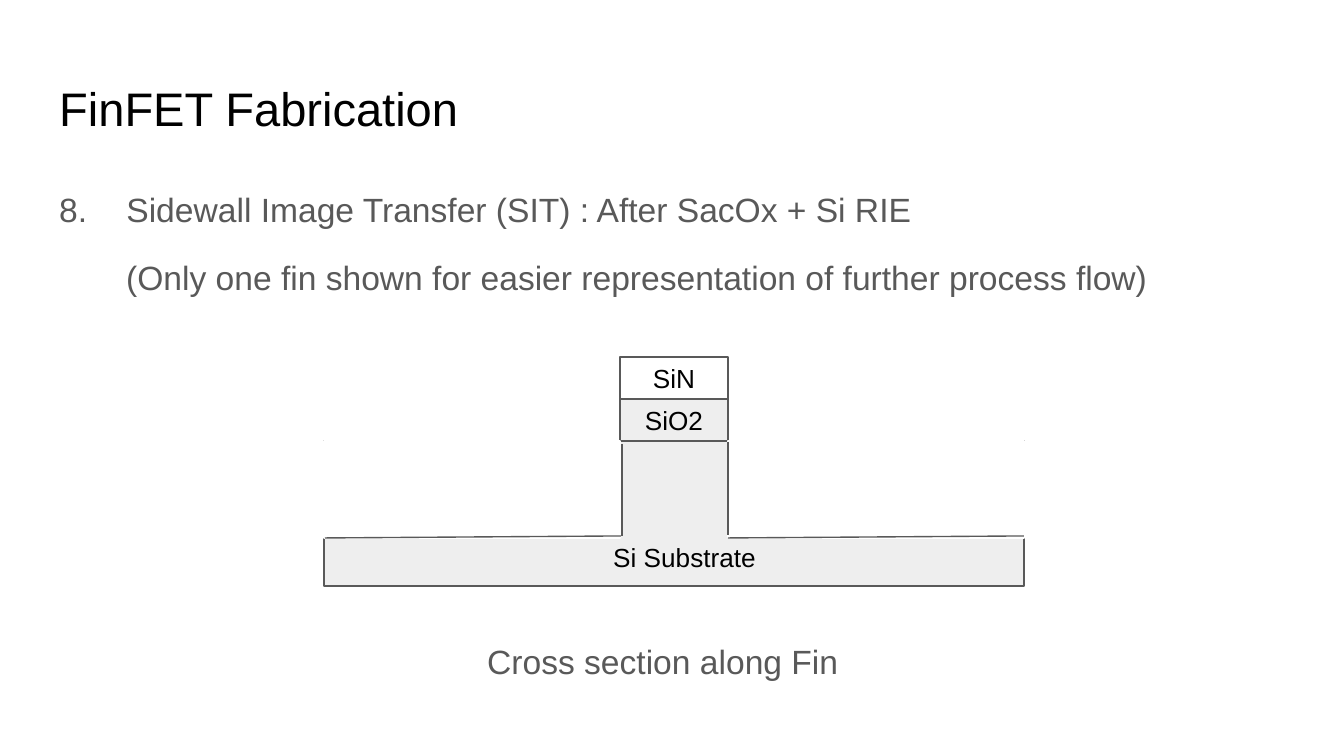
"""Build the FinFET fabrication slide with its fin cross section."""
import pptx
import pptx.dml.color
import pptx.enum.shapes
import pptx.enum.text
import pptx.oxml.ns
import pptx.util
from lxml import etree

PX = 914400 / 134.4
COLORS = {"black": "000000", "gray": "595959", "silicon": "EEEEEE", "white": "FFFFFF"}
ALIGN = pptx.enum.text.PP_ALIGN
ANCHOR = pptx.enum.text.MSO_ANCHOR

TITLE = "FinFET Fabrication"
STEP = [
    ("8.\tSidewall Image Transfer (SIT) : After SacOx + Si RIE", 0, 0),
    ("(Only one fin shown for easier representation of further process flow)", 67, 12),
]
CAPTION = "Cross section along Fin"
LAYERS = [("SiN", "white"), ("SiO2", "silicon")]

LEFT, RIGHT, TOP, BOTTOM = 324, 1024, 441, 586
FIN_LEFT, FIN_RIGHT, SURFACE = 620, 728, 538
LAYER_HEIGHT = 42
ETCHED = [(LEFT, FIN_LEFT), (FIN_RIGHT, RIGHT)]
EDGES = [
    (LEFT + 1, SURFACE, FIN_LEFT + 1, SURFACE - 2),
    (FIN_RIGHT, SURFACE, RIGHT, SURFACE - 2),
    (FIN_LEFT + 2, TOP + 3, FIN_LEFT + 2, SURFACE - 2),
    (FIN_RIGHT, TOP + 1, FIN_RIGHT, SURFACE - 3),
]


def emu(*pixels):
    return [pptx.util.Emu(round(p * PX)) for p in pixels]


def rgb(name):
    return pptx.dml.color.RGBColor.from_string(COLORS[name])


def write(shape, paragraphs, size=18, color="gray", align=ALIGN.LEFT,
          anchor=ANCHOR.TOP, spacing=1.0, shift=0):
    frame = shape.text_frame
    frame.word_wrap = True
    frame.vertical_anchor = anchor
    frame.margin_top = frame.margin_bottom = frame.margin_right = pptx.util.Inches(0.1)
    frame.margin_left = pptx.util.Inches(0.1) + emu(shift)[0]
    for i, (text, indent, before) in enumerate(paragraphs):
        paragraph = frame.add_paragraph() if i else frame.paragraphs[0]
        paragraph.alignment = align
        paragraph.line_spacing = spacing
        paragraph.space_before = pptx.util.Pt(before)
        if indent:
            paragraph._p.get_or_add_pPr().set("marL", str(emu(indent)[0]))
        run = paragraph.add_run()
        run.text = text
        run.font.name = "Arial"
        run.font.size = pptx.util.Pt(size)
        run.font.color.rgb = rgb(color)


def add_block(slide, left, top, right, bottom, fill, line="gray"):
    block = slide.shapes.add_shape(pptx.enum.shapes.MSO_SHAPE.RECTANGLE,
                                   *emu(left, top, right - left, bottom - top))
    block.shadow.inherit = False
    block.fill.solid()
    block.fill.fore_color.rgb = rgb(fill)
    block.line.color.rgb = rgb(line)
    block.line.width = pptx.util.Pt(0.75)
    return block


def add_edge(slide, ends):
    edge = slide.shapes.add_connector(pptx.enum.shapes.MSO_CONNECTOR.STRAIGHT, *emu(*ends))
    edge.line.color.rgb = rgb("gray")
    edge.line.width = pptx.util.Pt(0.75)
    etree.SubElement(edge._element.spPr, pptx.oxml.ns.qn("a:effectLst"))


def main():
    deck = pptx.Presentation()
    deck.slide_width, deck.slide_height = emu(1344, 756)
    slide = deck.slides.add_slide(deck.slide_layouts[6])

    write(slide.shapes.add_textbox(*emu(46, 66, 1252, 84)), [(TITLE, 0, 0)],
          size=25.2, color="black")
    write(slide.shapes.add_textbox(*emu(46, 169, 1252, 503)), STEP, spacing=1.15)

    label = {"size": 14, "color": "black", "align": ALIGN.CENTER}
    substrate = add_block(slide, LEFT, TOP, RIGHT, BOTTOM, "silicon")
    write(substrate, [("Si Substrate", 0, 0)], anchor=ANCHOR.BOTTOM, shift=21, **label)
    for i, (material, fill) in enumerate(LAYERS):
        top = TOP - LAYER_HEIGHT * (len(LAYERS) - i)
        layer = add_block(slide, FIN_LEFT, top, FIN_RIGHT, top + LAYER_HEIGHT, fill)
        write(layer, [(material, 0, 0)], anchor=ANCHOR.MIDDLE, **label)
    for left, right in ETCHED:
        add_block(slide, left, TOP, right, SURFACE, "white", line="white")
    for ends in EDGES:
        add_edge(slide, ends)

    write(slide.shapes.add_textbox(*emu(474, 628, 689, 65)), [(CAPTION, 0, 0)])
    deck.save("out.pptx")


if __name__ == "__main__":
    main()
